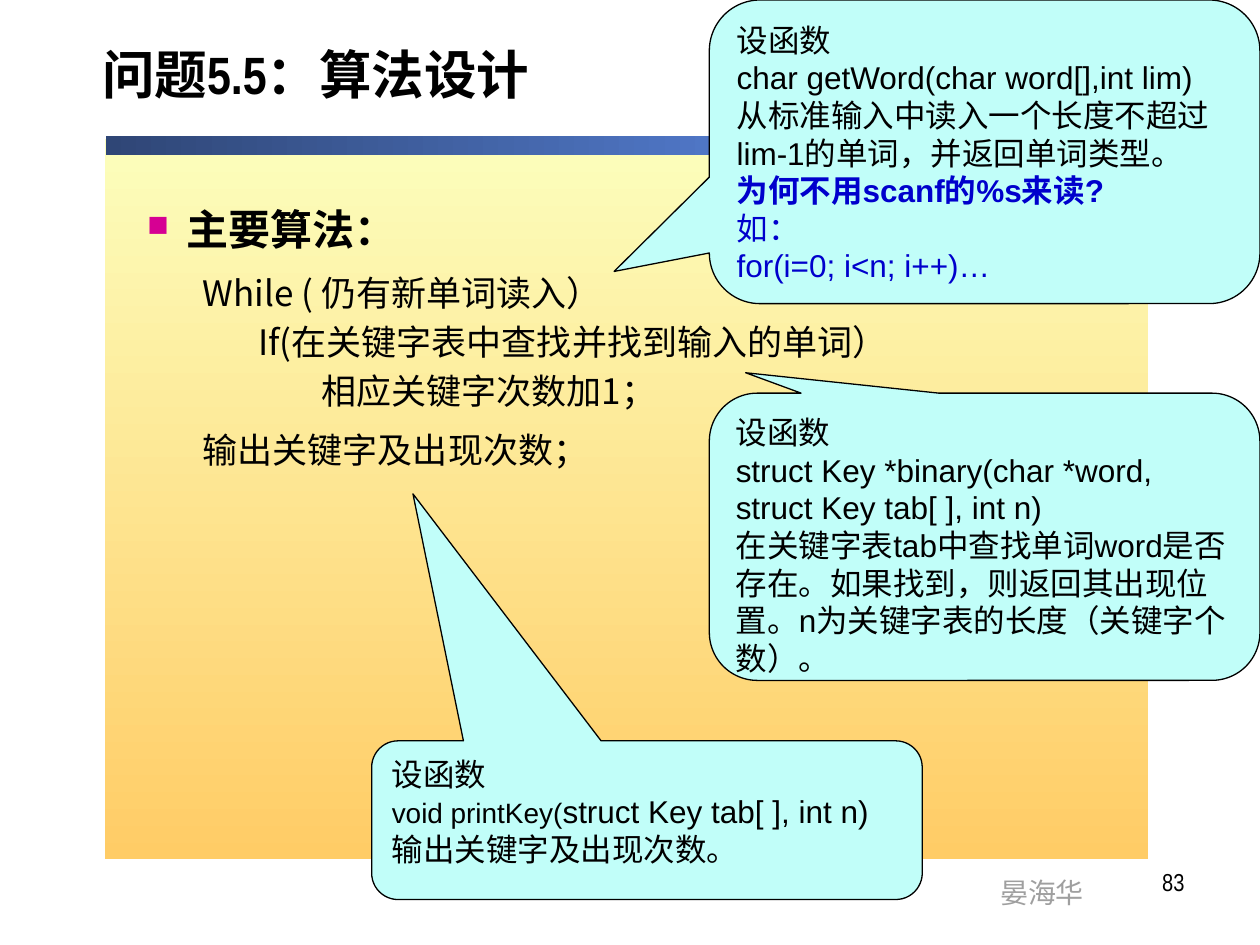
from lxml import etree
from pptx import Presentation
from pptx import util as u
from pptx.dml.color import RGBColor
from pptx.enum import shapes, text
from pptx.oxml.ns import qn

BLACK = RGBColor(0x00, 0x00, 0x00)
BLUE = RGBColor(0x00, 0x00, 0xCC)
GREY = RGBColor(0x9F, 0x9F, 0x9F)
CYAN = RGBColor(0xC1, 0xFE, 0xF9)
CREAM = RGBColor(0xFC, 0xFE, 0xBC)
AMBER = RGBColor(0xFF, 0xCC, 0x66)
NAVY = RGBColor(0x2F, 0x46, 0x76)
SKY = RGBColor(0x66, 0x99, 0xFF)
PINK = "D60093"

SANS, SLIM, CJK = "Arial", "Arial Narrow", "Noto Sans CJK SC"
COLS, ROWS = 100, 75  # grid cells of a tenth of an inch


class Deck:
    """Style and current slide; boxes are (column, row, columns, rows)."""

    def __init__(self):
        self.prs = Presentation()
        self.prs.slide_width, self.prs.slide_height = u.Inches(10), u.Inches(7.5)
        self.page = self.prs.slides.add_slide(self.prs.slide_layouts[5])

    def grid(self, box):
        cell = self.prs.slide_width / COLS, self.prs.slide_height / ROWS
        return [u.Emu(round(n * cell[i % 2])) for i, n in enumerate(box)]

    def font(self, item, face, size, color=BLACK, bold=False):
        font = item.font
        font.name, font.size, font.bold = face, u.Pt(size), bold
        font.color.rgb = color

    def title(self, box, words):
        head = self.page.shapes.title
        head.left, head.top, head.width, head.height = self.grid(box)
        frame = head.text_frame
        frame.text = words
        frame.vertical_anchor = text.MSO_ANCHOR.MIDDLE
        para = frame.paragraphs[0]
        para.alignment, para.line_spacing = text.PP_ALIGN.LEFT, 0.8
        self.font(para, SLIM, 30, bold=True)

    def band(self, box, first, last, angle):
        rect = self.page.shapes.add_shape(shapes.MSO_SHAPE.RECTANGLE, *self.grid(box))
        rect.shadow.inherit = False
        rect.line.fill.background()
        rect.fill.gradient()
        rect.fill.gradient_angle = angle
        for stop, color, place in zip(rect.fill.gradient_stops, (first, last), (0, 1)):
            stop.color.rgb, stop.position = color, place

    def box(self, box, wrap=True):
        frame = self.page.shapes.add_textbox(*self.grid(box)).text_frame
        frame.word_wrap = wrap
        return frame

    def label(self, box, words, face, size, color, align, wrap=True):
        para = self.box(box, wrap).paragraphs[0]
        para.text, para.alignment = words, align
        self.font(para, face, size, color)

    def paras(self, frame, count):
        for _ in range(count - 1):
            frame.add_paragraph()
        return frame.paragraphs

    def indent(self, para, left, first=0):
        props = para._p.get_or_add_pPr()
        props.set("marL", str(u.Inches(left)))
        props.set("indent", str(u.Inches(first)))
        return props

    def bullet(self, para, left):
        props = self.indent(para, left, -left)
        color = etree.SubElement(props, qn("a:buClr"))
        etree.SubElement(color, qn("a:srgbClr"), val=PINK)
        etree.SubElement(props, qn("a:buSzPct"), val="70000")
        etree.SubElement(props, qn("a:buChar"), char="■")

    def steps(self, box, head, lines):
        """A bulleted heading, then (left indent, space before, words)."""
        first, *rest = self.paras(self.box(box), len(lines) + 1)
        first.text, first.line_spacing = head, u.Pt(28)
        self.font(first, SLIM, 24, bold=True)
        self.bullet(first, 0.31)
        for para, (left, gap, words) in zip(rest, lines):
            para.text = words
            para.line_spacing, para.space_before = u.Pt(24), u.Pt(gap)
            self.font(para, CJK, 20)
            self.indent(para, left)

    def call(self, box, tip, lines):
        """A callout; each line is a list of (words, size, color, bold)."""
        kind = shapes.MSO_SHAPE.ROUNDED_RECTANGULAR_CALLOUT
        note = self.page.shapes.add_shape(kind, *self.grid(box))
        note.shadow.inherit = False
        note.fill.solid()
        note.fill.fore_color.rgb = CYAN
        note.line.color.rgb, note.line.width = BLACK, u.Pt(0.75)
        for i, share in enumerate((*tip, 0.167)):
            note.adjustments[i] = share
        frame = note.text_frame
        frame.word_wrap = True
        frame.vertical_anchor = text.MSO_ANCHOR.TOP
        for para, runs in zip(self.paras(frame, len(lines)), lines):
            para.alignment = text.PP_ALIGN.LEFT
            para.line_spacing = u.Pt(21.5)
            for words, *style in runs:
                run = para.add_run()
                run.text = words
                self.font(run, SANS, *style)


def plain(words, color=BLACK, bold=False):
    return [(words, 18, color, bold)]


def main():
    deck = Deck()

    # Background panel and title bar
    deck.band((8.3, 11, 82.8, 57.2), CREAM, AMBER, 270)
    deck.band((8.4, 10.8, 82.7, 1.5), NAVY, SKY, 0)

    # Author and page number
    align = text.PP_ALIGN
    deck.label((78.4, 69, 8.7, 3.7), "晏海华", SANS, 16, GREY, align.LEFT, False)
    deck.label((71.7, 68.3, 23.3, 5.2), "83", SLIM, 14, BLACK, align.RIGHT)

    # Title and algorithm
    deck.title((7.1, 1.7, 89.6, 9.2), "问题5.5：算法设计")
    deck.steps((10.7, 15.8, 77.7, 49.8), "主要算法：", [
        (0.44, 10, "While ( 仍有新单词读入）"),
        (0.88, 4, "If(在关键字表中查找并找到输入的单词）"),
        (1.38, 4, "相应关键字次数加1；"),
        (0.44, 9.7, "输出关键字及出现次数；"),
    ])

    # Callouts on the functions
    wide, start = 43.7, plain("设函数")
    deck.call((56.3, 0, wide, 24.1), (-0.673, 0.394), [
        start,
        plain("char getWord(char word[],int lim)"),
        plain("从标准输入中读入一个长度不超过lim-1的单词，并返回单词类型。"),
        plain("为何不用scanf的%s来读?", BLUE, True),
        plain("如：", BLUE),
        plain("for(i=0; i<n; i++)…", BLUE),
    ])
    deck.call((56.3, 31.2, wide, 22.8), (-0.434, -0.571), [
        start,
        plain("struct Key *binary(char *word, struct Key tab[ ], int n)"),
        plain("在关键字表tab中查找单词word是否存在。如果找到，则返回其出现位置。"
              "n为关键字表的长度（关键字个数）。"),
    ])
    deck.call((29.5, 58.8, wide, 12.6), (-0.425, -2.056), [
        start,
        [("void printKey(", 16), *plain("struct Key tab[ ], int n)")],
        plain("输出关键字及出现次数。"),
    ])

    deck.prs.save("out.pptx")


if __name__ == "__main__":
    main()
